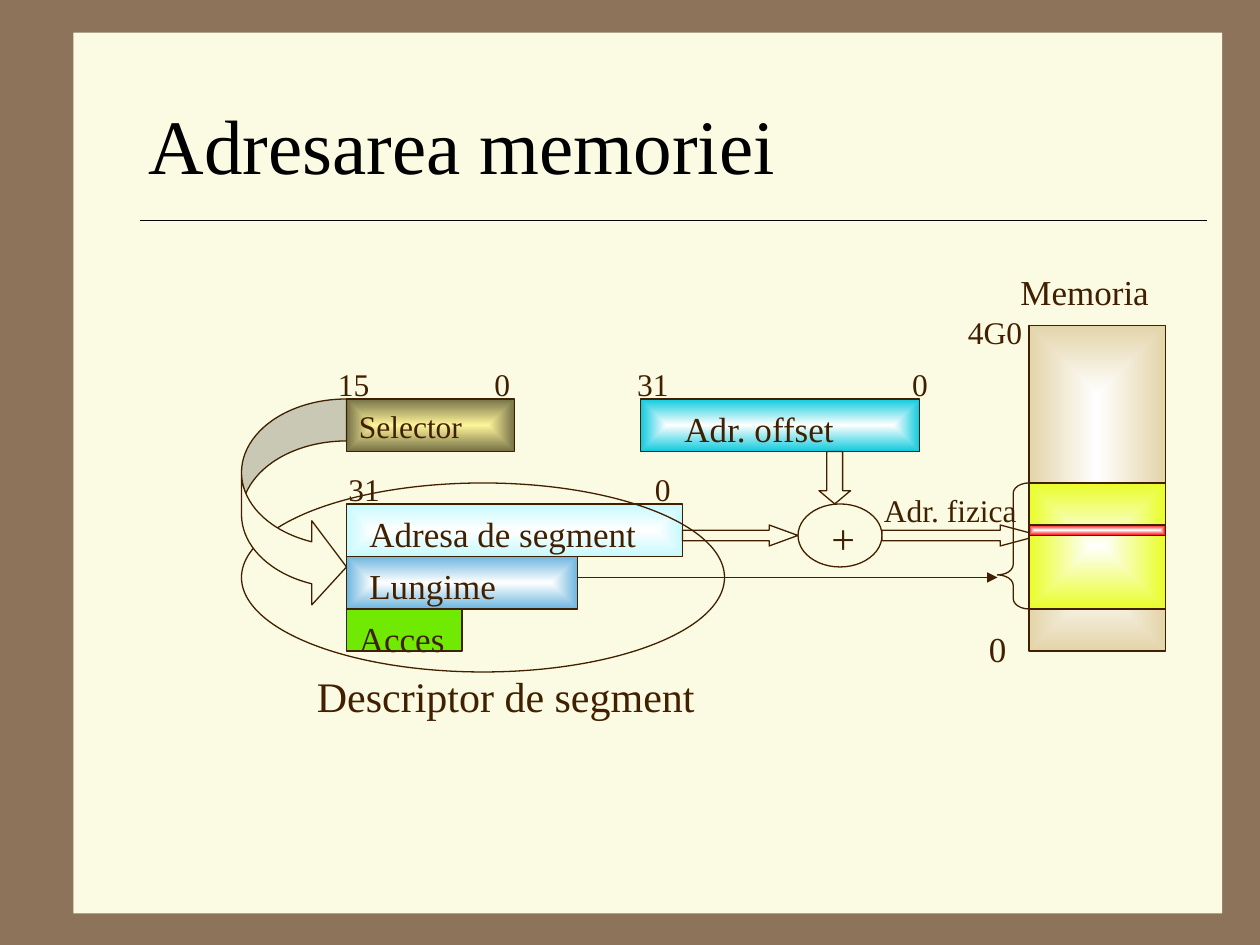
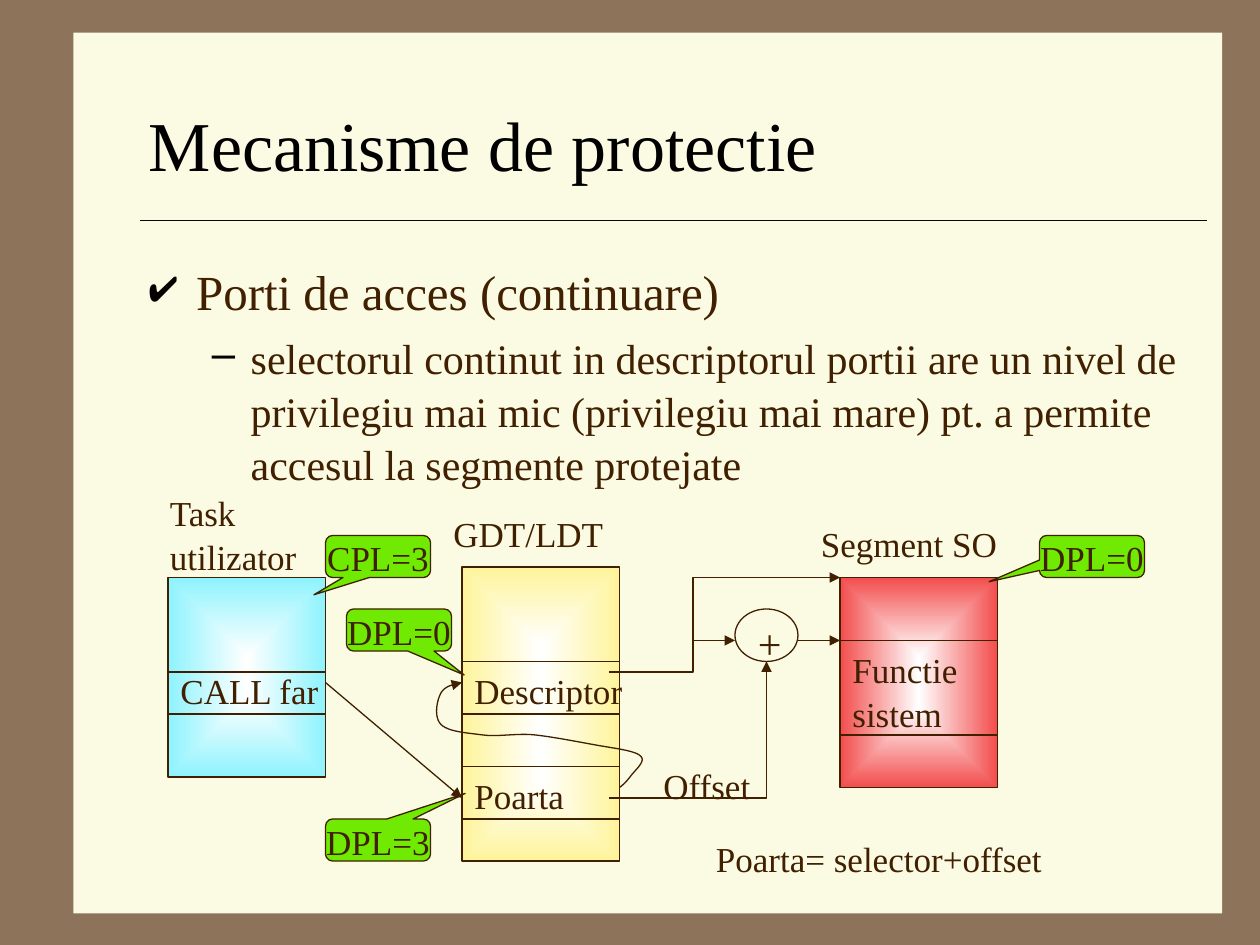
from dataclasses import dataclass
from itertools import pairwise

from lxml import etree
from pptx import Presentation
from pptx.dml.color import RGBColor
from pptx.enum.shapes import MSO_CONNECTOR, MSO_SHAPE
from pptx.enum.text import MSO_ANCHOR, PP_ALIGN
from pptx.oxml import parse_xml
from pptx.oxml.ns import nsdecls, qn
from pptx.slide import Slide
from pptx.util import Emu, Pt

PX = 7620  # EMU per px, 120 px to the inch
FONT = "Times New Roman"
LINE_SPACING = 1.05
COLORS = {
    "frame": "8C735A", "paper": "FBFAE2", "rule": "070605", "title": "000000",
    "ink": "402000", "bullet": "030201", "white": "FFFFFF", "green": "70EA02",
    "sand": "E3D4A9", "yellow": "E9FD29", "red": "FF0000", "olive": "757147",
    "cream": "FEF49A", "teal": "0ECADE", "ice": "C6F9FE", "blue": "6DB6DF",
    "aqua": "8EF3FE", "coral": "F34D4D",
}
RECT = MSO_SHAPE.RECTANGLE
ELLIPSE = MSO_SHAPE.OVAL
RIGHT_ARROW = MSO_SHAPE.RIGHT_ARROW
DOWN_ARROW = MSO_SHAPE.DOWN_ARROW
CURVED_ARROW = MSO_SHAPE.CURVED_RIGHT_ARROW
BRACE = MSO_SHAPE.LEFT_BRACE
CALLOUT = MSO_SHAPE.ROUNDED_RECTANGULAR_CALLOUT
STRAIGHT = MSO_CONNECTOR.STRAIGHT
MIDDLE = MSO_ANCHOR.MIDDLE
TOP = MSO_ANCHOR.TOP
CENTER = PP_ALIGN.CENTER


def rgb(name):
    return RGBColor.from_string(COLORS[name])


def style_paragraph(para, size, color="ink"):
    para.line_spacing = LINE_SPACING
    for span in para.runs:
        span.font.size = Pt(size)
        span.font.name = FONT
        span.font.color.rgb = rgb(color)


def fill_shape(shape, color, center=None):
    """Fill with nothing, one colour, or a gradient that runs out from the center colour."""
    shape.fill.background()
    if center:
        old = shape._element.spPr.find(qn("a:noFill"))
        old.getparent().replace(old, parse_xml(
            f'<a:gradFill {nsdecls("a")} rotWithShape="1"><a:gsLst>'
            f'<a:gs pos="0"><a:srgbClr val="{COLORS[center]}"/></a:gs>'
            f'<a:gs pos="100000"><a:srgbClr val="{COLORS[color]}"/></a:gs></a:gsLst>'
            '<a:path path="rect"><a:fillToRect l="50000" t="50000" r="50000" b="50000"/>'
            '</a:path></a:gradFill>'))
    elif color:
        shape.fill.solid()
        shape.fill.fore_color.rgb = rgb(color)


def style_line(shape, color="ink", width=0.75, arrow=False):
    shape.line.color.rgb = rgb(color)
    shape.line.width = Pt(width)
    if arrow:
        etree.SubElement(shape.line._get_or_add_ln(), qn("a:tailEnd"), type="triangle")


def curve_points(start, curves, steps=12):
    """Points along cubic curves, each given as two controls and an end."""
    points = [start]
    ends = [start] + [curve[2] for curve in curves]
    for (first, last), (one, two, _) in zip(pairwise(ends), curves):
        for step in range(1, steps + 1):
            t = step / steps
            u = 1 - t
            points.append(tuple(
                u**3 * a + 3 * u * u * t * b + 3 * u * t * t * c + t**3 * d
                for a, b, c, d in zip(first, one, two, last)))
    return points


@dataclass
class Region:
    """Part of a slide; everything is placed relative to its left top corner."""
    page: Slide
    left: int = 0
    top: int = 0

    def place(self, x, y):
        return Emu(round((self.left + x) * PX)), Emu(round((self.top + y) * PX))

    def shape(self, kind, box, color=None, center=None, adjust=()):
        x, y, width, height = box
        shape = self.page.shapes.add_shape(kind, *self.place(x, y), width * PX, height * PX)
        shape.shadow.inherit = False
        for index, value in enumerate(adjust):
            shape.adjustments[index] = value
        fill_shape(shape, color, center)
        style_line(shape)
        return shape

    def text(self, words, x, y, width, size=20, height=52, color="ink", anchor=TOP):
        box = self.page.shapes.add_textbox(*self.place(x, y), width * PX, height * PX)
        frame = box.text_frame
        frame.word_wrap = True
        frame.vertical_anchor = anchor
        frame.text = words
        style_paragraph(frame.paragraphs[0], size, color)
        return frame

    def line(self, start, end, color="ink", width=0.75, arrow=True):
        line = self.page.shapes.add_connector(STRAIGHT, *self.place(*start), *self.place(*end))
        etree.SubElement(line._element.spPr, qn("a:effectLst"))
        style_line(line, color, width, arrow)

    def arrow_path(self, points):
        first, *rest = [self.place(*point) for point in points]
        builder = self.page.shapes.build_freeform(*first)
        builder.add_line_segments(rest, close=False)
        shape = builder.convert_to_shape()
        shape.shadow.inherit = False
        fill_shape(shape, None)
        style_line(shape, arrow=True)

    def callout(self, words, x, y, adjust):
        shape = self.shape(CALLOUT, (x, y, 100, 40), "green", adjust=adjust)
        frame = shape.text_frame
        frame.word_wrap = False
        frame.vertical_anchor = MIDDLE
        frame.text = words
        frame.paragraphs[0].alignment = CENTER
        style_paragraph(frame.paragraphs[0], 20)


def start_slide(deck, title, size):
    page = deck.slides.add_slide(deck.slide_layouts[6])
    region = Region(page)
    paper = region.shape(RECT, (70, 31, 1094, 839), "paper")
    paper.line.fill.background()
    region.line((133, 210), (1150, 210), "rule", 0.25, arrow=False)
    region.text(title, 130, 60, 1020, size, 150, "title", MIDDLE)
    return page


# Memory addressing

def bit_numbers(region, positions, y):
    for number, x in positions:
        region.text(number, x, y, 60, 18, 48)


def address_registers(page, left, top):
    region = Region(page, left, top)
    region.shape(RECT, (0, 0, 160, 50), "olive", "cream")
    region.text("Selector", 0, 0, 160, 18)
    region.shape(RECT, (280, 0, 266, 50), "teal", "white")
    region.text("Adr. offset", 310, 0, 280)
    bit_numbers(region, [("15", -20), ("0", 129), ("31", 265), ("0", 527)], -40)


def address_adder(page, left, top):
    region = Region(page, left, top)
    region.shape(ELLIPSE, (0, 0, 80, 60), "paper")
    region.shape(DOWN_ARROW, (20, -50, 30, 50), "paper", adjust=(0.5, 0.42))
    region.shape(RIGHT_ARROW, (80, 20, 150, 20), "paper", adjust=(0.5, 1.87))
    region.text("+", 20, 0, 50, 24)
    region.text("Adr. fizica", 70, -20, 160, 18)


def memory_map(page, left, top):
    region = Region(page, left, top)
    for y, height, color in [(0, 310, "sand"), (150, 120, "yellow"), (190, 10, "red")]:
        region.shape(RECT, (0, y, 130, height), color, "white")
    region.text("Memoria", -20, -60, 160)
    region.text("4G0", -70, -20, 90, 18)
    region.text("0", -50, 280, 50)
    region.shape(BRACE, (-30, 150, 30, 120), adjust=(0.33, 0.73))


def segment_descriptor(page, left, top):
    region = Region(page, left, top)
    region.shape(RECT, (0, 0, 320, 50), "ice", "white")
    region.shape(RECT, (0, 50, 220, 50), "blue", "white")
    region.shape(RECT, (0, 100, 110, 40), "green")
    region.shape(RIGHT_ARROW, (320, 20, 110, 20), "paper", adjust=(0.5, 1.37))
    bit_numbers(region, [("31", -10), ("0", 282)], -40)
    fields = [("Adresa de segment", 10, 310), ("Lungime", 10, 230), ("Acces", 0, 120)]
    for row, (name, x, width) in enumerate(fields):
        region.text(name, x, row * 50, width)
    region.shape(ELLIPSE, (-100, -20, 460, 180))
    region.shape(CURVED_ARROW, (-100, -100, 100, 200), "paper", adjust=(0.4, 0.8, 0.33))
    region.text("Descriptor de segment", -40, 150, 460, 24)
    region.line((220, 70), (620, 70))


def addressing_slide(deck):
    page = start_slide(deck, "Adresarea memoriei", 44)
    address_registers(page, 330, 380)
    address_adder(page, 760, 480)
    memory_map(page, 980, 310)
    segment_descriptor(page, 330, 480)


# Protection mechanisms

def gate_bullets(page, left, top):
    frame = Region(page, left, top).text("Porti de acces (continuare)", 0, 0, 1020, 28, 610)
    detail = frame.add_paragraph()
    detail.text = ("selectorul continut in descriptorul portii are un nivel de privilegiu mai mic "
                   "(privilegiu mai mare) pt. a permite accesul la segmente protejate")
    detail.level = 1
    marks = [("✔", 45, 45, 90), ("–", 97, 37, 100)]
    for para, (mark, margin, hang, percent) in zip(frame.paragraphs, marks):
        props = para._p.get_or_add_pPr()
        props.set("marL", str(margin * PX))
        props.set("indent", str(-hang * PX))
        color = etree.SubElement(props, qn("a:buClr"))
        etree.SubElement(color, qn("a:srgbClr"), val=COLORS["bullet"])
        etree.SubElement(props, qn("a:buSzPct"), val=str(percent * 1000))
        etree.SubElement(props, qn("a:buChar"), char=mark)
    detail.space_before = Pt(6)
    style_paragraph(detail, 24)


def memory_column(region, height, color, heading, cells):
    """Heading is words, x, y, width; a cell is words, y, height, text y, text width."""
    region.shape(RECT, (0, 0, 150, height), color, "white")
    region.text(*heading)
    for words, y, cell_height, text_y, text_width in cells:
        region.shape(RECT, (0, y, 150, cell_height))
        region.text(words, 0, text_y, text_width)


def user_task(page, left, top):
    region = Region(page, left, top)
    memory_column(region, 190, "aqua", ("Task utilizator", -10, -90, 170),
                  [("CALL far", 90, 40, 80, 160)])
    region.line((150, 100), (280, 210))
    region.callout("CPL=3", 150, -40, (-0.61, 0.91, 0.17))


def descriptor_table(page, left, top):
    region = Region(page, left, top)
    memory_column(region, 280, "cream", ("GDT/LDT", -20, -60, 190),
                  [("Descriptor", 90, 50, 90, 170), ("Poarta", 190, 50, 190, 150)])
    region.arrow_path(curve_points((150, 210), [
        ((153, 208), (156, 205), (160, 200)),
        ((164, 194), (176, 185), (170, 180)),
        ((165, 175), (147, 173), (130, 170)),
        ((113, 167), (88, 162), (70, 160)),
        ((52, 158), (35, 162), (20, 160)),
        ((5, 158), (-13, 157), (-20, 150)),
        ((-27, 143), (-24, 127), (-20, 120)),
        ((-16, 113), (-8, 112), (0, 110)),
    ]))
    region.callout("DPL=3", -130, 240, (0.83, -1.11, 0.17))
    region.callout("DPL=0", -110, 40, (0.62, 1.07, 0.17))


def system_segment(page, left, top):
    region = Region(page, left, top)
    memory_column(region, 200, "coral", ("Segment SO", -30, -60, 250),
                  [("Functie sistem", 60, 90, 60, 150)])
    region.callout("DPL=0", 190, -40, (-0.98, 0.6, 0.17))


def entry_adder(page, left, top):
    region = Region(page, left, top)
    region.shape(ELLIPSE, (0, 0, 60, 50))
    region.text("+", 10, 0, 70, 24)
    region.line((60, 30), (100, 30))
    region.line((-40, 30), (0, 30))
    region.arrow_path([(-120, 180), (30, 180), (30, 50)])
    region.arrow_path([(-120, 60), (-40, 60), (-40, -30), (100, -30)])
    region.text("Offset", -80, 140, 130)
    region.text("Poarta= selector+offset", -30, 210, 390)


def protection_slide(deck):
    page = start_slide(deck, "Mecanisme de protectie", 40)
    gate_bullets(page, 130, 240)
    descriptor_table(page, 440, 540)
    user_task(page, 160, 550)
    system_segment(page, 800, 550)
    entry_adder(page, 700, 580)


def main():
    deck = Presentation()
    deck.slide_width, deck.slide_height = Emu(1200 * PX), Emu(900 * PX)
    backdrop = deck.slide_master.background.fill
    backdrop.solid()
    backdrop.fore_color.rgb = rgb("frame")
    addressing_slide(deck)
    protection_slide(deck)
    deck.save("out.pptx")


if __name__ == "__main__":
    main()
